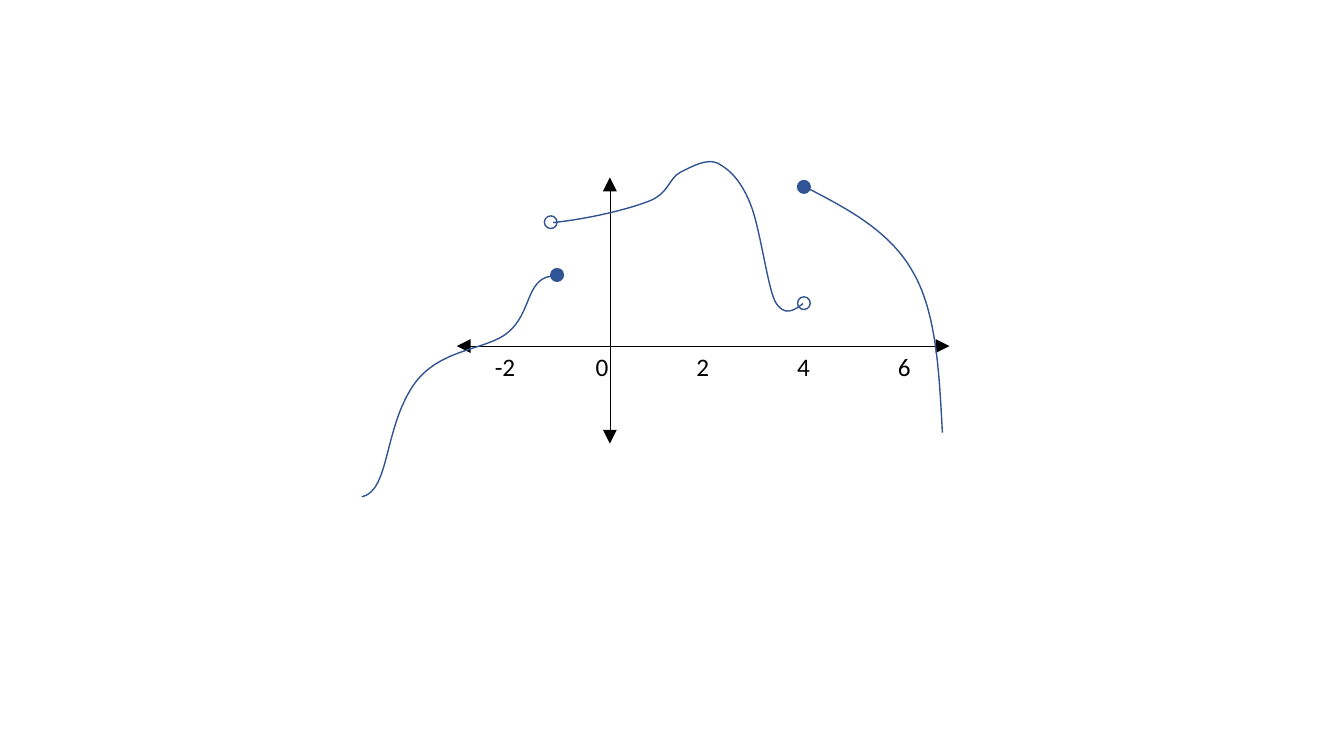
from lxml.etree import SubElement as Sub
from pptx import Presentation
from pptx.dml.color import RGBColor
from pptx.enum.shapes import MSO_CONNECTOR as Link, MSO_SHAPE as Kind
from pptx.enum.text import MSO_AUTO_SIZE as Fit
from pptx.oxml.ns import qn
from pptx.util import Cm, Pt

BLACK = RGBColor(0x00, 0x00, 0x00)
WHITE = RGBColor(0xFF, 0xFF, 0xFF)
BLUE = RGBColor(0x2F, 0x55, 0x97)
EDGE = RGBColor(0x32, 0x54, 0x91)

LEFT = [(9.12, 12.52), (9.8, 12.37), (9.68, 10.92), (10.34, 9.83),
        (10.97, 8.76), (12.22, 8.86), (12.8, 8.38),
        (13.39, 7.9), (13.26, 7.04), (13.89, 6.96)]
MID = [(13.94, 5.61), (14.86, 5.51), (15.8, 5.28), (16.33, 5.08),
       (16.87, 4.88), (16.84, 4.5), (17.15, 4.34),
       (17.45, 4.19), (17.81, 3.99), (18.08, 4.11),
       (18.39, 4.27), (18.67, 4.55), (18.9, 5.11),
       (19.15, 5.69), (19.33, 7.16), (19.53, 7.59),
       (19.76, 8), (20.02, 7.82), (20.24, 7.65)]
RIGHT = [(20.27, 4.7), (21.36, 5.26), (22.43, 5.82), (23.01, 6.86),
         (23.6, 7.87), (23.67, 9.4), (23.75, 10.9)]


class Graph:
    def __init__(self, slide):
        self.shapes = slide.shapes
        self.font = {"name": "Calibri", "size": Pt(18)}
        self.size = 0.32
        self.gap = 2.54

    def stroke(self, shape, color, width):
        shape.line.color.rgb = color
        shape.line.width = Pt(width)

    def axis(self, *ends):
        line = self.shapes.add_connector(Link.STRAIGHT, *map(Cm, ends))
        self.stroke(line, BLACK, 0.5)
        pen = line.line._get_or_add_ln()
        for tag in ("a:headEnd", "a:tailEnd"):
            Sub(pen, qn(tag), type="triangle", w="lg", len="lg")
        Sub(line._element.spPr, qn("a:effectLst"))

    def label(self, text, *area):
        box = self.shapes.add_textbox(*map(Cm, area))
        frame = box.text_frame
        frame.word_wrap = True
        frame.auto_size = Fit.SHAPE_TO_FIT_TEXT
        para = frame.paragraphs[0]
        tabs = Sub(para._p.get_or_add_pPr(), qn("a:tabLst"))
        for i in range(text.count("\t")):
            place = str(Cm(self.gap * (i + 1)))
            Sub(tabs, qn("a:tab"), pos=place, algn="l")
        run = para.add_run()
        run.text = text
        for key, value in self.font.items():
            setattr(run.font, key, value)
        run.font.color.rgb = BLACK

    def dot(self, x, y, fill):
        half = self.size / 2
        area = (x - half, y - half, self.size, self.size)
        shape = self.shapes.add_shape(Kind.OVAL, *map(Cm, area))
        shape.shadow.inherit = False
        shape.fill.solid()
        shape.fill.fore_color.rgb = fill
        self.stroke(shape, EDGE, 1)

    def curve(self, points):
        first, *rest = [(Cm(x), Cm(y)) for x, y in points]
        pen = self.shapes.build_freeform(*first)
        pen.add_line_segments(rest, close=False)
        shape = pen.convert_to_shape()
        shape.shadow.inherit = False
        shape.fill.background()
        self.stroke(shape, EDGE, 1)
        trace = next(shape._element.iter(qn("a:path")))
        steps = trace.findall(qn("a:lnTo"))
        for i in range(0, len(steps), 3):
            bend = Sub(trace, qn("a:cubicBezTo"))
            for step in steps[i:i + 3]:
                bend.append(step[0])
                trace.remove(step)


def main():
    deck = Presentation()
    deck.slide_width, deck.slide_height = Cm(33.87), Cm(19.05)
    graph = Graph(deck.slides.add_slide(deck.slide_layouts[6]))
    graph.axis(11.51, 8.72, 23.93, 8.72)
    graph.axis(15.37, 4.47, 15.37, 11.18)
    graph.label("-2\t0\t2\t4\t6", 12.22, 8.72, 12.01, 1.02)
    graph.dot(14.04, 6.93, BLUE)
    graph.curve(RIGHT)
    graph.curve(LEFT)
    graph.dot(13.88, 5.6, WHITE)
    graph.dot(20.26, 4.71, BLUE)
    graph.dot(20.26, 7.64, WHITE)
    graph.curve(MID)
    deck.save("out.pptx")


if __name__ == "__main__":
    main()
